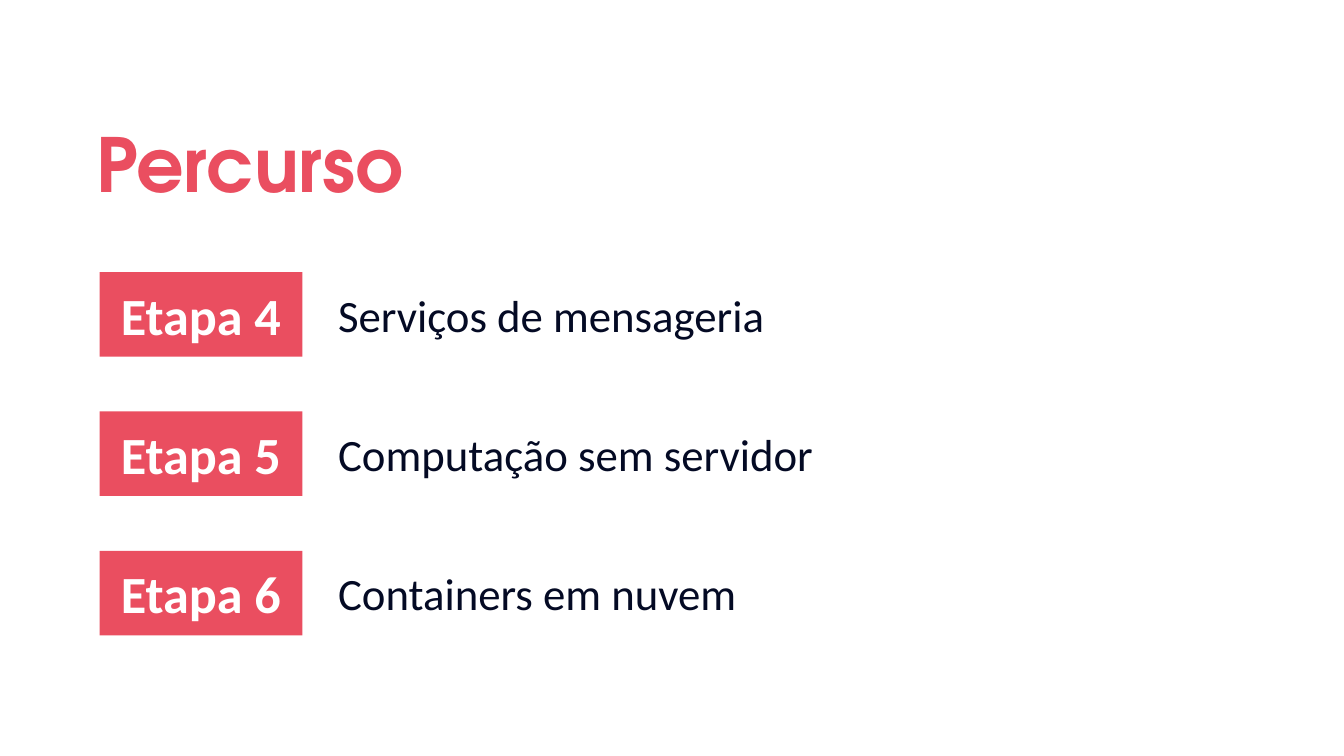
from pptx import Presentation
from pptx.dml.color import RGBColor
from pptx.enum.shapes import MSO_SHAPE
from pptx.enum.text import MSO_ANCHOR, MSO_AUTO_SIZE, PP_ALIGN
from pptx.util import Cm, Pt

CORAL, NAVY, WHITE = "EA4E60", "040A24", "FFFFFF"
STAGES = [
    ("Etapa 4", "Serviços de mensageria"),
    ("Etapa 5", "Computação sem servidor"),
    ("Etapa 6", "Containers em nuvem"),
]


def color(hex_code):
    return RGBColor.from_string(hex_code)


def write(shape, text, font, size, hex_code, bold=False,
          align=PP_ALIGN.LEFT, margin_y=0.34):
    """Fill the shape with one styled run and return its paragraph."""
    frame = shape.text_frame
    frame.word_wrap = True
    frame.auto_size = MSO_AUTO_SIZE.NONE
    frame.vertical_anchor = MSO_ANCHOR.MIDDLE
    frame.margin_left = frame.margin_right = Cm(0.34)
    frame.margin_top = frame.margin_bottom = Cm(margin_y)
    paragraph = frame.paragraphs[0]
    paragraph.alignment = align
    run = paragraph.add_run()
    run.text = text
    run.font.name = font
    run.font.size = Pt(size)
    run.font.bold = bold
    run.font.color.rgb = color(hex_code)
    return paragraph


def add_heading(slide, left, top, width, height):
    heading = slide.shapes.title
    heading.left, heading.top = Cm(left), Cm(top)
    heading.width, heading.height = Cm(width), Cm(height)
    line = write(heading, "Percurso", "TeX Gyre Adventor", 53.3, CORAL, bold=True)
    line.line_spacing = 1.15


def add_stage(slide, stage, topic, left, top, width, height):
    """Place a stage badge with its topic to the right, centred on the badge."""
    badge_width, gap, topic_height = 5.11, 0.56, 1.7
    badge = slide.shapes.add_shape(
        MSO_SHAPE.RECTANGLE, Cm(left), Cm(top), Cm(badge_width), Cm(height))
    badge.shadow.inherit = False
    badge.fill.solid()
    badge.fill.fore_color.rgb = color(CORAL)
    badge.line.fill.background()
    write(badge, stage, "Calibri", 37.3, WHITE, bold=True, align=PP_ALIGN.CENTER)

    topic_offset = badge_width + gap
    label = slide.shapes.add_textbox(
        Cm(left + topic_offset), Cm(top + (height - topic_height) / 2),
        Cm(width - topic_offset), Cm(topic_height))
    write(label, topic, "Calibri", 32, NAVY, margin_y=0.17)


def add_stages(slide, left, top, width, height):
    badge_height = 2.13
    pitch = (height - badge_height) / (len(STAGES) - 1)
    for row, (stage, topic) in enumerate(STAGES):
        add_stage(slide, stage, topic, left, top + row * pitch, width, badge_height)


def main():
    deck = Presentation()
    deck.slide_width, deck.slide_height = Cm(33.87), Cm(19.05)
    slide = deck.slides.add_slide(deck.slide_layouts[5])
    slide.background.fill.solid()
    slide.background.fill.fore_color.rgb = color(WHITE)
    add_heading(slide, 2.08, 2.36, 27.46, 3.12)
    add_stages(slide, 2.51, 6.86, 28.53, 9.15)
    deck.save("out.pptx")


if __name__ == "__main__":
    main()
